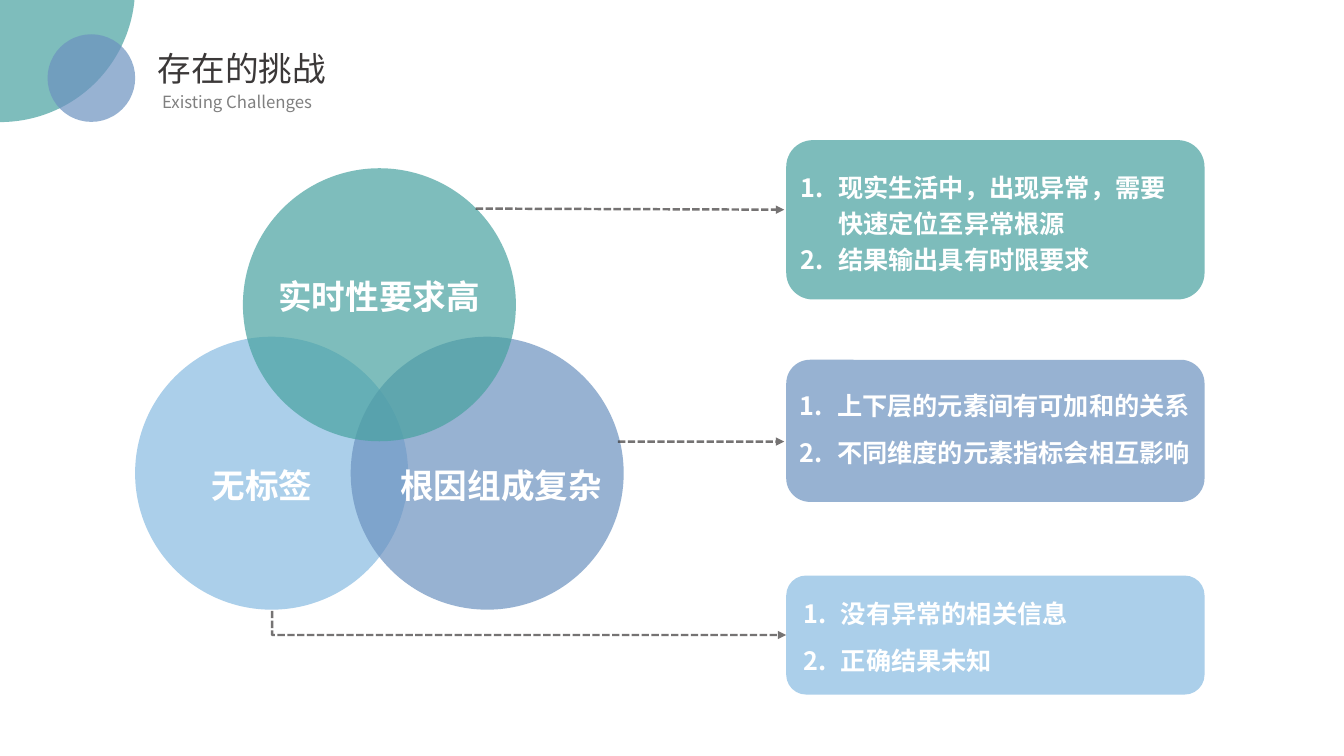
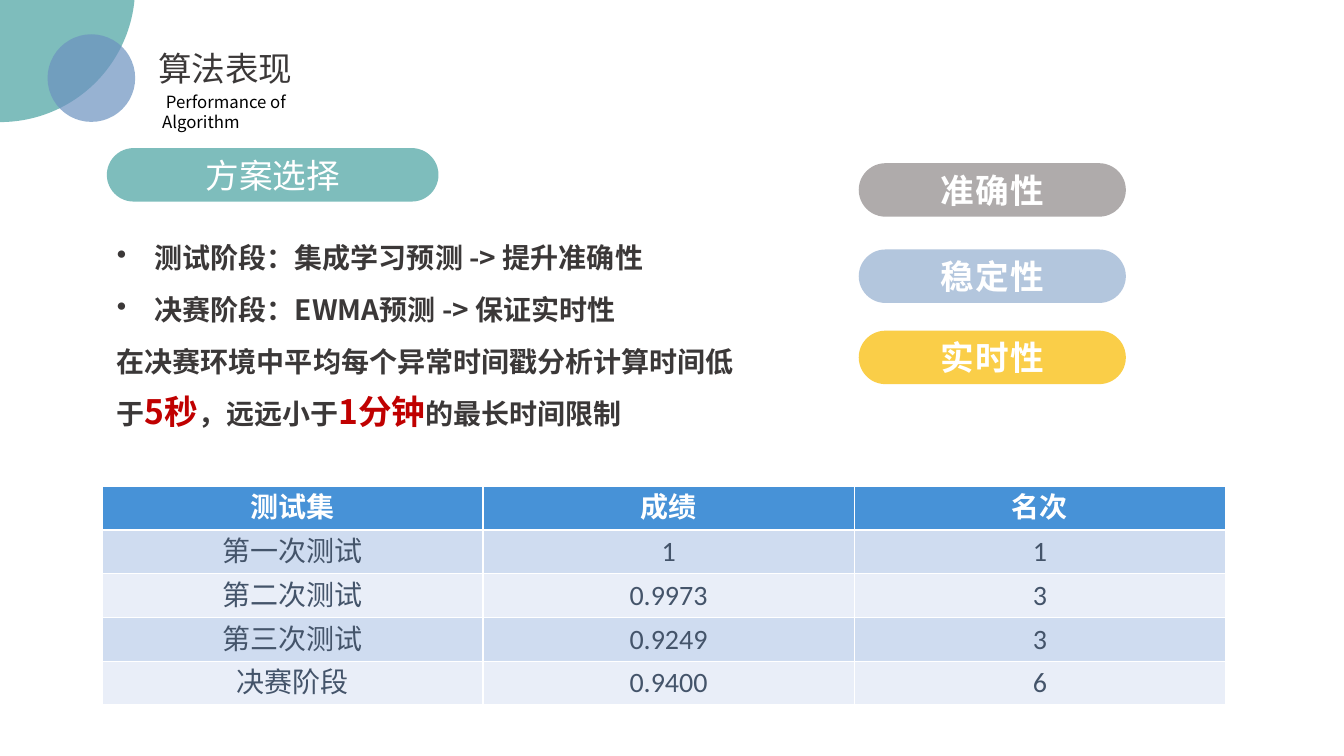
from lxml.etree import SubElement
from pptx import Presentation
from pptx.dml.color import RGBColor
from pptx.enum.dml import MSO_LINE as Dash
from pptx.enum.shapes import MSO_CONNECTOR as Link, MSO_SHAPE as Preset
from pptx.enum.text import MSO_ANCHOR as Anchor, PP_ALIGN as Align
from pptx.oxml.ns import qn
from pptx.util import Pt

COLORS = {
    "teal": "48A2A0", "indigo": "6C92C0", "blue": "0070C0", "steel": "94AECF",
    "stone": "AFABAB", "yellow": "FACE48", "red": "C00000", "ink": "3B3838",
    "gray": "808080", "black": "000000", "white": "FFFFFF", "slate": "44546A",
    "header": "4792D7", "band": "CFDCF0", "pale": "E9EEF8",
}
SANS = "Noto Sans CJK SC"
BULLETS = {"number": ("a:buAutoNum", "type", "arabicPeriod"),
           "dot": ("a:buChar", "char", "•")}


def rgb(name):
    """Return the named colour."""
    return RGBColor.from_string(COLORS[name])


def fade(shape, percent):
    """Make the fill or line colours of a shape partly transparent."""
    for color in shape.element.spPr.iter(qn("a:srgbClr")):
        SubElement(color, qn("a:alpha")).set("val", str(percent * 1000))


def style(para, size, color, bold=False, align=Align.LEFT, font=SANS):
    """Set the font and alignment of a paragraph."""
    para.alignment = align
    para.font.name, para.font.size, para.font.bold = font, Pt(size), bold
    para.font.color.rgb = rgb(color)


def add_bullet(para, kind):
    """Give a styled paragraph a hanging bullet or number."""
    tag, key, value = BULLETS[kind]
    props = para._p.get_or_add_pPr()
    props.set("marL", str(Pt(27)))
    props.set("indent", str(-Pt(27)))
    mark = SubElement(props, qn(tag))
    mark.set(key, value)
    props.find(qn("a:defRPr")).addprevious(mark)


def add_shape(page, preset, area, color, opacity=100):
    """Add a borderless filled shape."""
    shape = page.shapes.add_shape(preset, *map(Pt, area))
    shape.shadow.inherit = False
    shape.fill.solid()
    shape.fill.fore_color.rgb = rgb(color)
    shape.line.fill.background()
    if opacity < 100:
        fade(shape, opacity)
    return shape


def add_circle(page, left, top, size, color, opacity=70):
    """Add a translucent circle."""
    add_shape(page, Preset.OVAL, (left, top, size, size), color, opacity)


def add_box(page, area):
    """Add a wrapping text box and return its text frame."""
    frame = page.shapes.add_textbox(*map(Pt, area)).text_frame
    frame.word_wrap = True
    return frame


def add_label(page, area, text, size, color, **looks):
    """Add a text box of one paragraph."""
    para = add_box(page, area).paragraphs[0]
    para.text = text
    style(para, size, color, **looks)


def add_paras(frame, count):
    """Return the given number of paragraphs of a new frame."""
    return [frame.paragraphs[0]] + [frame.add_paragraph() for _ in range(count - 1)]


def add_list(page, area, lines, spacing=1.0, gap=0):
    """Add a numbered list in bold white."""
    for para, text in zip(add_paras(add_box(page, area), len(lines)), lines):
        para.text = text
        para.line_spacing, para.space_after = spacing, Pt(gap)
        style(para, 18, "white", bold=True)
        add_bullet(para, "number")


def add_pill(page, area, text, color, opacity=100, bold=True, tracking=1):
    """Add a fully rounded bar with centred text."""
    pill = add_shape(page, Preset.ROUNDED_RECTANGLE, area, color, opacity)
    pill.adjustments[0] = 0.5
    pill.text_frame.vertical_anchor = Anchor.MIDDLE
    para = pill.text_frame.paragraphs[0]
    para.text = text
    style(para, 24, "white", bold=bold, align=Align.CENTER)
    para._p.pPr.find(qn("a:defRPr")).set("spc", str(tracking * 100))


def add_arrow(page, start, end, bent=False):
    """Add a dashed arrow, straight or going down and then right."""
    (x1, y1), (x2, y2) = start, end
    if bent:
        mid_x, mid_y, run, rise = (x1 + x2) / 2, (y1 + y2) / 2, (x2 - x1) / 2, (y2 - y1) / 2
        x1, y1, x2, y2 = mid_x + rise, mid_y - run, mid_x - rise, mid_y + run
    kind = Link.ELBOW if bent else Link.STRAIGHT
    arrow = page.shapes.add_connector(kind, *map(Pt, (x1, y1, x2, y2)))
    arrow.line.width = Pt(1.75)
    arrow.line.color.rgb = rgb("ink")
    arrow.line.dash_style = Dash.SQUARE_DOT
    fade(arrow, 70)
    props = arrow.element.spPr
    SubElement(props.find(qn("a:ln")), qn("a:tailEnd")).set("type", "triangle")
    SubElement(props, qn("a:effectLst"))
    if bent:
        props.find(qn("a:prstGeom")).set("prst", "bentConnector2")
        props.find(qn("a:xfrm")).set("rot", str(270 * 60000))


def add_page(deck, title, title_width, subtitle, subtitle_width, subtitle_color):
    """Add a slide with corner circles and a heading."""
    page = deck.slides.add_slide(deck.slide_layouts[6])
    add_circle(page, -96.5, -105.8, 193, "teal")
    add_circle(page, 34, 24.5, 62.6, "indigo")
    add_label(page, (105.8, 31, title_width, 36), title, 24, "ink")
    add_label(page, (108.7, 62, subtitle_width, 21.6), subtitle, 12, subtitle_color)
    return page


def add_scores(page, area, widths, rows):
    """Add the banded table of scores."""
    table = page.shapes.add_table(len(rows), len(widths), *map(Pt, area)).table
    for column, width in zip(table.columns, widths):
        column.width = Pt(width)
    for r, row in enumerate(rows):
        fill = "header" if r == 0 else ("pale", "band")[r % 2]
        for c, text in enumerate(row):
            cell = table.cell(r, c)
            cell.fill.solid()
            cell.fill.fore_color.rgb = rgb(fill)
            para = cell.text_frame.paragraphs[0]
            para.text = text
            style(para, 20, "slate" if r else "white", bold=r == 0,
                  align=Align.CENTER, font="Calibri")


def add_summary(page, area):
    """Add the notes on the chosen approach."""
    frame = add_box(page, area)
    frame.vertical_anchor = Anchor.MIDDLE
    lines = [
        [("测试阶段：集成学习预测 -> 提升准确性", False)],
        [("决赛阶段：EWMA预测 -> 保证实时性", False)],
        [("在决赛环境中平均每个异常时间戳分析计算时间低于", False), ("5秒", True),
         ("，远远小于", False), ("1分钟", True), ("的最长时间限制", False)],
    ]
    for para, spans in zip(add_paras(frame, len(lines)), lines):
        para.line_spacing, para.space_after = 1.3, Pt(6)
        style(para, 20, "ink", bold=True)
        if len(spans) == 1:
            add_bullet(para, "dot")
        for text, accent in spans:
            span = para.add_run()
            span.text = text
            if accent:
                span.font.size = Pt(24)
                span.font.color.rgb = rgb("red")


def build_challenges(deck):
    """Build the slide on existing challenges."""
    page = add_page(deck, "存在的挑战", 136, "Existing Challenges", 126, "gray")
    add_circle(page, 96.5, 240.5, 195, "blue", 33)
    add_circle(page, 250.5, 240.5, 195, "indigo")
    add_circle(page, 173.5, 120.2, 195, "teal")
    for left, top, text in [(190.8, 193.7, "实时性要求高"), (107.3, 328.3, "无标签"),
                            (277.9, 328.3, "根因组成复杂")]:
        add_label(page, (left, top, 160, 36), text, 24, "white",
                  bold=True, align=Align.CENTER)
    for top, height, color, opacity in [(100.1, 113.8, "teal", 71),
                                        (257, 101.5, "indigo", 70),
                                        (411.1, 85, "blue", 33)]:
        add_shape(page, Preset.ROUNDED_RECTANGLE, (561.6, top, 298.8, height), color, opacity)
    add_list(page, (564.5, 115.2, 278, 83.5),
             ["现实生活中，出现异常，需要快速定位至异常根源", "结果输出具有时限要求"], spacing=1.2)
    add_list(page, (563.8, 275, 293.8, 63.4),
             ["上下层的元素间有可加和的关系", "不同维度的元素指标会相互影响"], gap=12)
    add_list(page, (566.6, 424, 293.8, 63.4), ["没有异常的相关信息", "正确结果未知"], gap=12)
    add_arrow(page, (441.4, 315.4), (560.2, 315.4))
    add_arrow(page, (194.4, 436.3), (561.6, 453.6), bent=True)
    add_arrow(page, (339.8, 149), (560.2, 149.8))


def build_performance(deck):
    """Build the slide on how the algorithm performs."""
    page = add_page(deck, "算法表现", 112, " Performance of Algorithm", 112, "black")
    add_scores(page, (73.4, 347.3, 802, 156), (271.6, 265.2, 265.2), [
        ("测试集", "成绩", "名次"),
        ("第一次测试", "1", "1"),
        ("第二次测试", "0.9973", "3"),
        ("第三次测试", "0.9249", "3"),
        ("决赛阶段", "0.9400", "6"),
    ])
    add_summary(page, (76.3, 162, 466.6, 148.3))
    add_pill(page, (76.3, 105.8, 236.9, 38.2), "方案选择", "teal", 70, bold=False, tracking=0)
    for top, text, color, opacity in [(116.6, "准确性", "stone", 100),
                                      (178.2, "稳定性", "steel", 70),
                                      (236.2, "实时性", "yellow", 100)]:
        add_pill(page, (613.4, top, 190.8, 38.2), text, color, opacity)


def set_east_asian(page):
    """Use each Latin typeface for East Asian text too."""
    for latin in list(page.element.iter(qn("a:latin"))):
        face = SubElement(latin.getparent(), qn("a:ea"))
        face.set("typeface", latin.get("typeface"))
        latin.addnext(face)


def main():
    """Build and save the deck."""
    deck = Presentation()
    deck.slide_width, deck.slide_height = Pt(960), Pt(540)
    build_challenges(deck)
    build_performance(deck)
    for page in deck.slides:
        set_east_asian(page)
    deck.save("out.pptx")


main()
